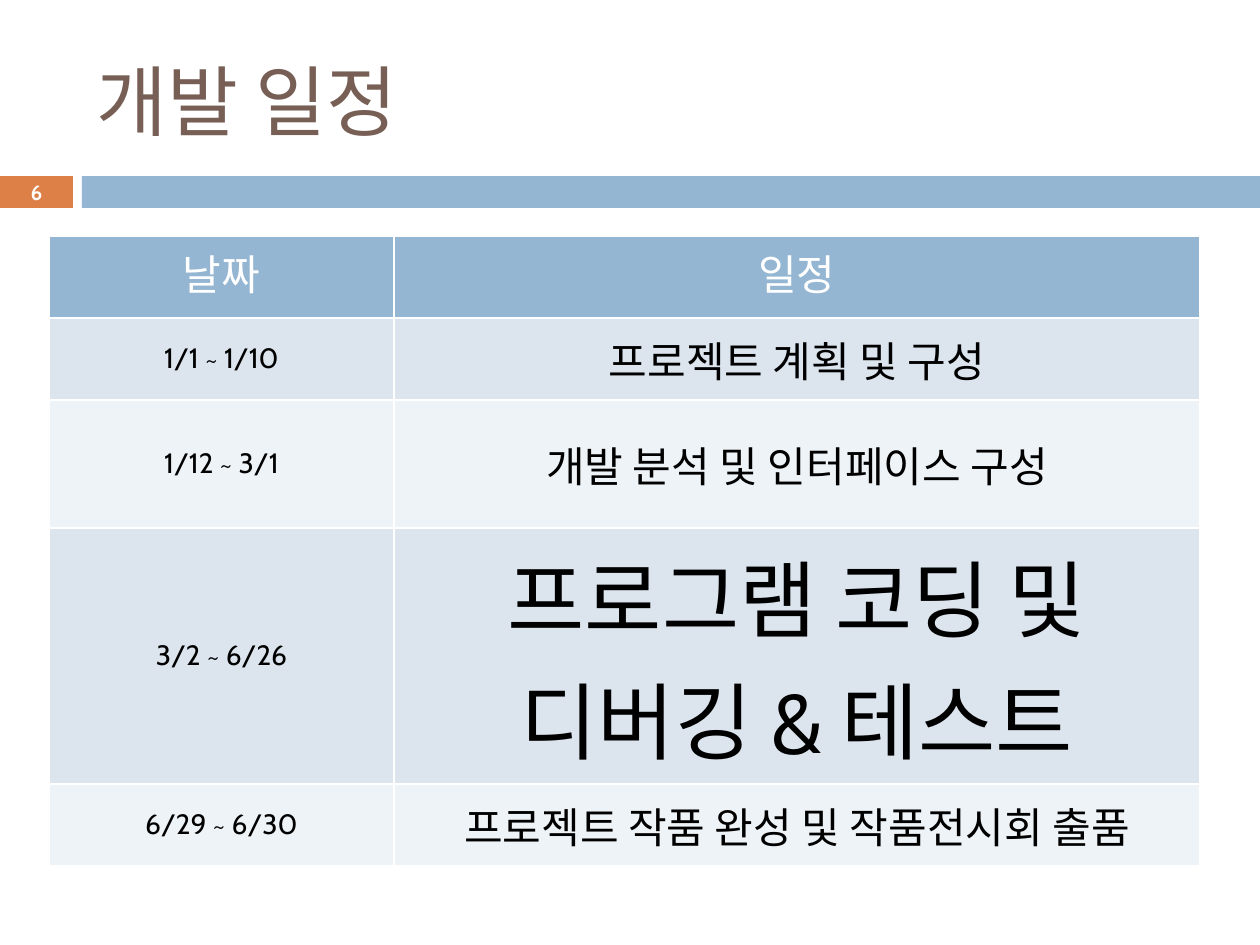
from dataclasses import dataclass

from lxml import etree
from pptx import Presentation
from pptx import util as u
from pptx.dml.color import RGBColor
from pptx.enum import shapes, text
from pptx.oxml import ns

SCALE = 914400 / 126
HUES = {
    "blue": "94B6D2",
    "orange": "DD8047",
    "brown": "775F55",
    "odd": "DCE5EE",
    "even": "EEF3F7",
    "white": "FFFFFF",
    "black": "000000",
}
MID = text.MSO_ANCHOR.MIDDLE
LEFT, CENTER = text.PP_ALIGN.LEFT, text.PP_ALIGN.CENTER


@dataclass
class Box:
    left: int
    top: int
    width: int
    height: int

    def emu(self) -> list[u.Emu]:
        return [px(n) for n in (self.left, self.top, self.width, self.height)]


@dataclass
class Row:
    date: str
    task: str
    height: int
    size: int = 24


BARS = {"orange": Box(0, 176, 73, 32), "blue": Box(82, 176, 1178, 32)}
TITLE = Box(84, 32, 1124, 136)
NUMBER = Box(0, 175, 73, 34)
COLS = (345, 806)
HEAD = Row("날짜", "일정", 82)
ROWS = (
    Row("1/1 ~ 1/10", "프로젝트 계획 및 구성", 82),
    Row("1/12 ~ 3/1", "개발 분석 및 인터페이스 구성", 128),
    Row("3/2 ~ 6/26", "프로그램 코딩 및\n디버깅 & 테스트", 256, 48),
    Row("6/29 ~ 6/30", "프로젝트 작품 완성 및 작품전시회 출품", 82),
)
GRID = Box(49, 236, sum(COLS), sum(row.height for row in (HEAD, *ROWS)))


def px(n: int) -> u.Emu:
    return u.Emu(round(n * SCALE))


def rgb(hue: str) -> RGBColor:
    return RGBColor.from_string(HUES[hue])


def write(frame, words: str, size: float, hue: str, align=CENTER, bold=False) -> None:
    frame.text = words
    form = {"name": "Cabin", "size": u.Pt(size), "bold": bold}
    for para in frame.paragraphs:
        para.alignment = align
        for key, value in form.items():
            setattr(para.font, key, value)
        para.font.color.rgb = rgb(hue)


def bar(slide, box: Box, hue: str) -> None:
    shape = slide.shapes.add_shape(shapes.MSO_SHAPE.RECTANGLE, *box.emu())
    shape.shadow.inherit = False
    shape.fill.solid()
    shape.fill.fore_color.rgb = rgb(hue)
    shape.line.fill.background()


def paint(cell, hue: str) -> None:
    """Fill a cell and rule its sides in white."""
    props = cell._tc.get_or_add_tcPr()
    for side in ("lnL", "lnR", "lnT", "lnB"):
        line = etree.SubElement(props, ns.qn(f"a:{side}"), w=str(u.Pt(1)))
        fill = etree.SubElement(line, ns.qn("a:solidFill"))
        etree.SubElement(fill, ns.qn("a:srgbClr"), val=HUES["white"])
    cell.fill.solid()
    cell.fill.fore_color.rgb = rgb(hue)


def plan(slide) -> None:
    """Draw the table of dates and tasks."""
    rows = (HEAD, *ROWS)
    table = slide.shapes.add_table(len(rows), len(COLS), *GRID.emu()).table
    table.first_row = table.horz_banding = False
    for col, width in zip(table.columns, COLS):
        col.width = px(width)
    for i, row in enumerate(rows):
        table.rows[i].height = px(row.height)
        head = row is HEAD
        fill = "blue" if head else "odd" if i % 2 else "even"
        pairs = ((row.date, 24 if head else 16), (row.task, row.size))
        for j, (words, size) in enumerate(pairs):
            cell = table.cell(i, j)
            paint(cell, fill)
            if not head:
                cell.vertical_anchor = MID
            write(cell.text_frame, words, size, "white" if head else "black")


def main() -> None:
    deck = Presentation()
    deck.slide_width, deck.slide_height = px(1260), px(945)
    slide = deck.slides.add_slide(deck.slide_layouts[5])
    for hue, box in BARS.items():
        bar(slide, box, hue)

    title = slide.shapes.title
    title.left, title.top, title.width, title.height = TITLE.emu()
    title.text_frame.vertical_anchor = MID
    write(title.text_frame, "개발 일정", 44, "brown", LEFT)

    frame = slide.shapes.add_textbox(*NUMBER.emu()).text_frame
    frame.word_wrap = True
    frame.vertical_anchor = MID
    write(frame, "6", 11.9, "white", bold=True)

    plan(slide)
    deck.save("out.pptx")


if __name__ == "__main__":
    main()
